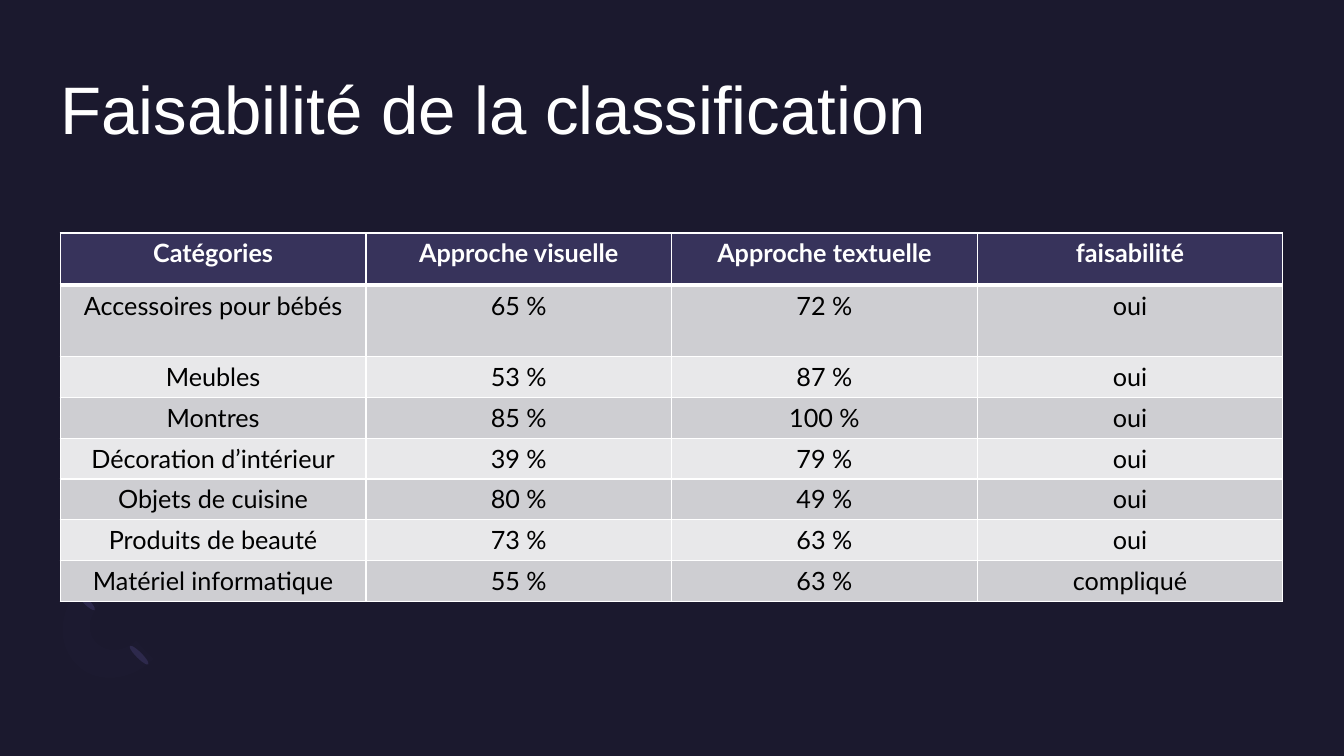
import pptx
import pptx.dml.color
import pptx.enum.shapes
import pptx.enum.text
import pptx.oxml
import pptx.oxml.ns
import pptx.util
from lxml import etree

Cm = pptx.util.Cm
Pt = pptx.util.Pt
RGBColor = pptx.dml.color.RGBColor

NIGHT = RGBColor(0x1B, 0x19, 0x2E)
WHITE = RGBColor(0xFF, 0xFF, 0xFF)
BLACK = RGBColor(0x00, 0x00, 0x00)
HEADER = RGBColor(0x37, 0x33, 0x5B)
BANDS = [RGBColor(0xCE, 0xCE, 0xD2), RGBColor(0xE8, 0xE8, 0xEA)]
CAP = RGBColor(0x2C, 0x28, 0x4A)
TUBE = RGBColor(0x77, 0x71, 0xB2)

ROWS = [
    ("Catégories", "Approche visuelle", "Approche textuelle", "faisabilité"),
    ("Accessoires pour bébés", "65 %", "72 %", "oui"),
    ("Meubles", "53 %", "87 %", "oui"),
    ("Montres", "85 %", "100 %", "oui"),
    ("Décoration d’intérieur", "39 %", "79 %", "oui"),
    ("Objets de cuisine", "80 %", "49 %", "oui"),
    ("Produits de beauté", "73 %", "63 %", "oui"),
    ("Matériel informatique", "55 %", "63 %", "compliqué"),
]
HEIGHTS = [1.32, 1.79] + [1.03] * 6

# Bézier arcs of the tube: start, two controls, end
ARCS = [
    [(1.93, 16.74), (1.42, 16.23), (1.47, 15.37), (2.06, 14.78)],
    [(2.51, 15.24), (2.21, 15.52), (2.18, 15.98), (2.44, 16.21)],
    [(2.44, 16.21), (2.69, 16.46), (3.12, 16.43), (3.43, 16.15)],
    [(3.86, 16.61), (3.3, 17.17), (2.41, 17.25), (1.93, 16.74)],
]


def arc_points(arc, steps=12):
    for i in range(steps + 1):
        t = i / steps
        weights = ((1 - t) ** 3, 3 * t * (1 - t) ** 2, 3 * t * t * (1 - t), t ** 3)
        yield tuple(Cm(sum(w * pt[axis] for w, pt in zip(weights, arc)))
                    for axis in (0, 1))


class Deck:
    title_font = "Arial"
    body_font = "Lato"

    def __init__(self, prs):
        self.slide = prs.slides.add_slide(prs.slide_layouts[6])
        fill = self.slide.background.fill
        fill.solid()
        fill.fore_color.rgb = NIGHT

    def paint(self, sp, color, alpha=100):
        sp.shadow.inherit = False
        sp.line.fill.background()
        sp.fill.solid()
        sp.fill.fore_color.rgb = color
        if alpha < 100:
            clr = sp.fill._xPr.find(".//" + pptx.oxml.ns.qn("a:srgbClr"))
            etree.SubElement(clr, pptx.oxml.ns.qn("a:alpha"), val=str(alpha * 1000))

    def ellipse(self, x, y, w, h, color, rotation=0):
        sp = self.slide.shapes.add_shape(pptx.enum.shapes.MSO_SHAPE.OVAL,
                                         Cm(x), Cm(y), Cm(w), Cm(h))
        sp.rotation = rotation
        self.paint(sp, color)

    def outline(self, arcs, color, alpha):
        points = [pt for arc in arcs for pt in arc_points(arc)]
        builder = self.slide.shapes.build_freeform(*points[0])
        builder.add_line_segments(points[1:], close=True)
        self.paint(builder.convert_to_shape(), color, alpha)

    def style(self, p, font, size, color, bold=False):
        for r in p.runs:
            r.font.name = font
            r.font.size = Pt(size)
            r.font.color.rgb = color
            r.font.bold = bold

    def title(self, text, x, y, w, h):
        tf = self.slide.shapes.add_textbox(Cm(x), Cm(y), Cm(w), Cm(h)).text_frame
        tf.word_wrap = True
        tf.margin_left = tf.margin_right = tf.margin_bottom = 0
        tf.margin_top = Cm(0.18)
        tf.text = text
        self.style(tf.paragraphs[0], self.title_font, 48, WHITE)

    def borders(self, cell, bottom):
        tcPr = cell._tc.get_or_add_tcPr()
        for i, side in enumerate("LRTB"):
            width = Pt(bottom if side == "B" else 1)
            tcPr.insert(i, pptx.oxml.parse_xml(
                f'<a:ln{side} {pptx.oxml.ns.nsdecls("a")} w="{width}"><a:solidFill>'
                f'<a:srgbClr val="{WHITE}"/></a:solidFill></a:ln{side}>'))

    def table(self, rows, heights, x, y, w):
        table = self.slide.shapes.add_table(
            len(rows), len(rows[0]), Cm(x), Cm(y), Cm(w), Cm(sum(heights))).table
        for i, (row, height) in enumerate(zip(rows, heights)):
            table.rows[i].height = Cm(height)
            head = i == 0
            for j, text in enumerate(row):
                cell = table.cell(i, j)
                cell.fill.solid()
                cell.fill.fore_color.rgb = HEADER if head else BANDS[(i - 1) % 2]
                self.borders(cell, 3 if i == 0 else 1)
                cell.text_frame.text = text
                p = cell.text_frame.paragraphs[0]
                p.alignment = pptx.enum.text.PP_ALIGN.CENTER
                self.style(p, self.body_font, 18, WHITE if head else BLACK, head)


def main():
    prs = pptx.Presentation()
    prs.slide_width = Cm(33.87)
    prs.slide_height = Cm(19.05)
    deck = Deck(prs)

    # Corner ornament: end caps and a faint tube
    for x, y in [(3.43, 16.18), (2.08, 14.81)]:
        deck.ellipse(x, y, 0.15, 0.66, CAP, rotation=135)
    deck.outline(ARCS, TUBE, alpha=2)

    # Title and feasibility table
    deck.title("Faisabilité de la classification", 1.52, 1.52, 30.81, 3.71)
    deck.table(ROWS, HEIGHTS, 1.52, 5.87, 30.81)

    prs.save("out.pptx")


if __name__ == "__main__":
    main()
